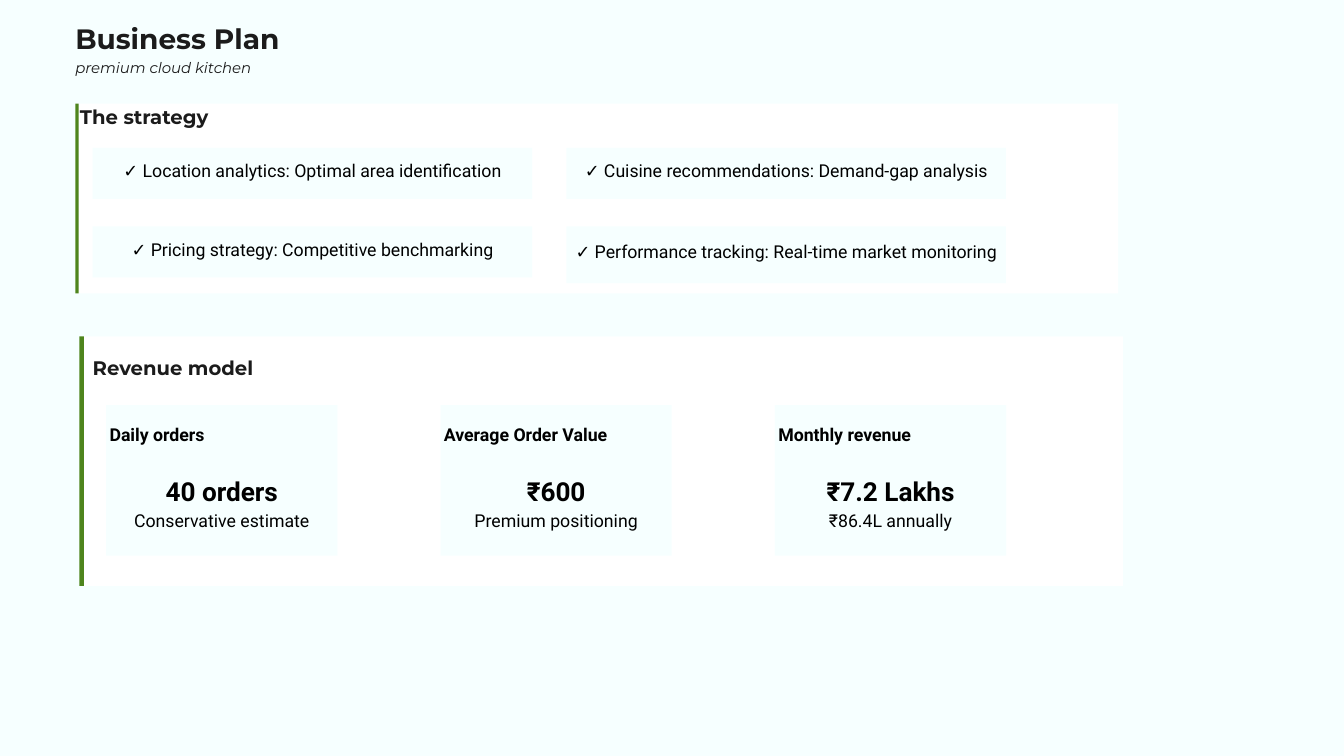
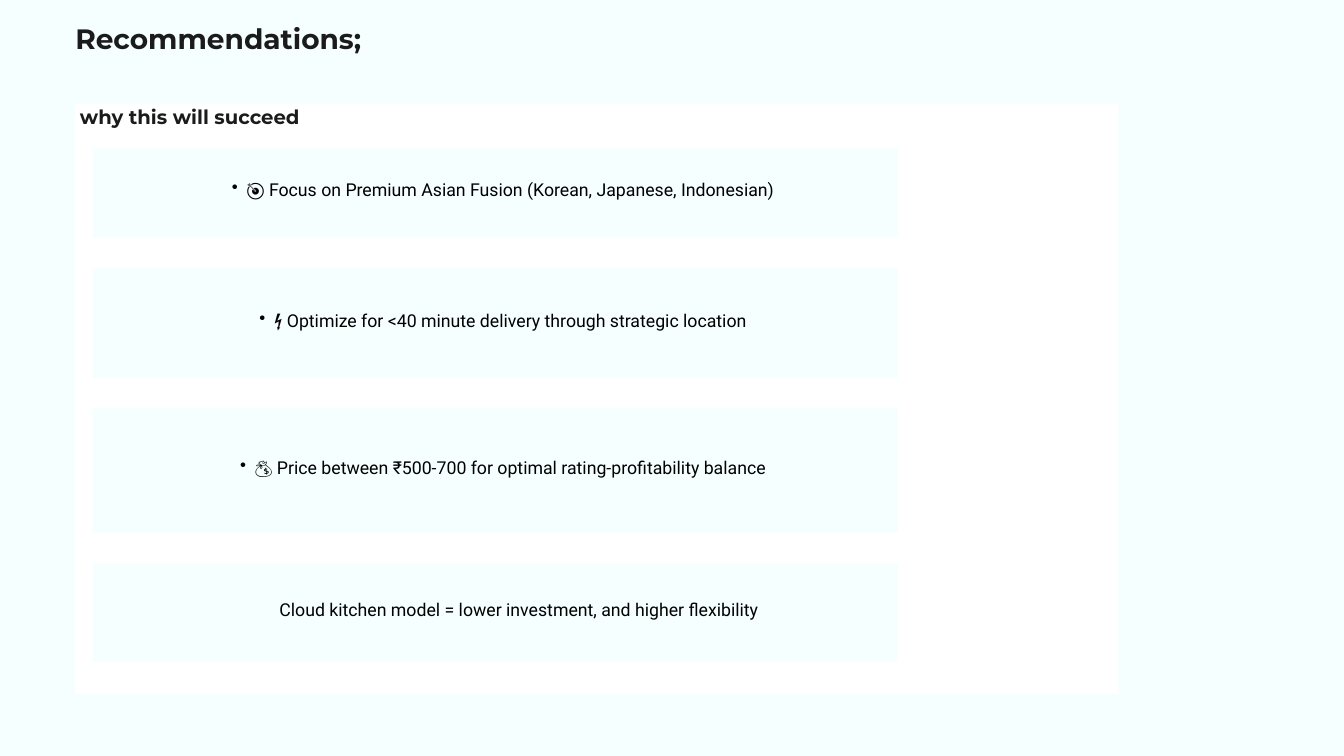
from pptx import Presentation, util as u
from pptx.dml.color import RGBColor
from pptx.enum import shapes, text
from lxml import etree

COLORS = {"mint": "F6FFFF", "white": "FFFFFF", "green": "4E851D", "ink": "1B1B1B", "black": "000000"}
LEFT, CENTER = text.PP_ALIGN.LEFT, text.PP_ALIGN.CENTER
STYLES = {
    "title": ("Montserrat", 30, True, False, "ink", LEFT, 42),
    "subtitle": ("Montserrat", 16, False, True, "ink", LEFT, 22.4),
    "heading": ("Montserrat", 21, True, False, "ink", LEFT, 29.4),
    "label": ("Roboto", 19, True, False, "black", LEFT, 26.6),
    "figure": ("Roboto", 28, True, False, "black", CENTER, 39.2),
    "body": ("Roboto", 19, False, False, "black", CENTER, 26.6),
}

deck = Presentation()
deck.slide_width, deck.slide_height = u.Inches(20), u.Inches(11.25)
COLUMN, ROW = deck.slide_width / 100, deck.slide_height / 100
PANEL_LEFT, PANEL_TOP, PANEL_WIDTH = 5.6, 13.7, 77.6
CARD_LEFT, CARD_TOP = 6.9, 19.55
HEADING_SIZE = 22.65, 3.5


def place(slide, left, top, width, height, fill=None):
    box = [int(left * COLUMN), int(top * ROW), int(width * COLUMN), int(height * ROW)]
    if fill is None:
        return slide.shapes.add_textbox(*box)
    block = slide.shapes.add_shape(shapes.MSO_SHAPE.RECTANGLE, *box)
    block.shadow.inherit = False
    block.fill.solid()
    block.fill.fore_color.rgb = RGBColor.from_string(COLORS[fill])
    block.line.fill.background()
    return block


def write(holder, *lines, card=False, bullet=False):
    frame = holder.text_frame
    frame.word_wrap = True
    frame.auto_size = text.MSO_AUTO_SIZE.NONE
    frame.vertical_anchor = text.MSO_ANCHOR.MIDDLE if card else text.MSO_ANCHOR.TOP
    frame.margin_left = frame.margin_right = frame.margin_top = u.Inches(0.05 if card else 0)
    frame.margin_bottom = u.Inches(0.19 if card else 0)
    for index, (style, words) in enumerate(lines):
        paragraph = frame.add_paragraph() if index else frame.paragraphs[0]
        paragraph.text = words
        if bullet:
            paragraph.level = 1
            properties = paragraph._p.get_or_add_pPr()
            properties.set("marL", str(u.Inches(0.45)))
            properties.set("indent", str(u.Inches(-0.22)))
            mark = etree.SubElement(properties, "{http://schemas.openxmlformats.org/drawingml/2006/main}buChar")
            mark.set("char", "•")
        name, size, bold, italic, color, align, spacing = STYLES[style]
        paragraph.alignment = align
        paragraph.line_spacing = u.Pt(spacing)
        if style == "figure":
            paragraph.space_before = u.Pt(26.6)
        font = paragraph.font
        font.name, font.size, font.bold, font.italic = name, u.Pt(size), bold, italic
        font.color.rgb = RGBColor.from_string(COLORS[color])


pages = []
for heading in ["Business Plan", "Recommendations;"]:
    page = deck.slides.add_slide(deck.slide_layouts[5])
    page.background.fill.solid()
    page.background.fill.fore_color.rgb = RGBColor.from_string(COLORS["mint"])
    title = page.shapes.title
    title.left, title.top = int(PANEL_LEFT * COLUMN), int(2.13 * ROW)
    title.width, title.height = int(50.45 * COLUMN), int(5 * ROW)
    write(title, ("title", heading))
    pages.append(page)
plan, advice = pages

write(place(plan, PANEL_LEFT, 7.3, 50.45, 2.8), ("subtitle", "premium cloud kitchen"))
place(plan, PANEL_LEFT, PANEL_TOP, PANEL_WIDTH, 25.1, "white")
place(plan, PANEL_LEFT, PANEL_TOP, 0.25, 25.1, "green")
write(place(plan, 5.95, 13.33, *HEADING_SIZE), ("heading", "The strategy"))

strategies = [
    ("✓ Location analytics: Optimal area identification", 6.75),
    ("✓ Cuisine recommendations: Demand-gap analysis", 6.75),
    ("✓ Pricing strategy: Competitive benchmarking", 6.75),
    ("✓ Performance tracking: Real-time market monitoring", 7.5),
]
for index, (strategy, height) in enumerate(strategies):
    row, column = divmod(index, 2)
    card = place(plan, CARD_LEFT + column * 35.25, CARD_TOP + row * 10.4, 32.7, height, "mint")
    write(card, ("body", strategy), card=True)

place(plan, 5.95, 44.5, PANEL_WIDTH, 33, "white")
place(plan, 5.9, 44.5, 0.35, 33, "green")
write(place(plan, CARD_LEFT, 46.6, *HEADING_SIZE), ("heading", "Revenue model"))

revenues = [
    ("Daily orders", "40 orders", "Conservative estimate"),
    ("Average Order Value", "₹600", "Premium positioning"),
    ("Monthly revenue", "₹7.2 Lakhs", "₹86.4L annually"),
]
for column, revenue in enumerate(revenues):
    card = place(plan, 7.9 + column * 24.88, 53.6, 17.2, 19.9, "mint")
    write(card, *zip(["label", "figure", "body"], revenue), card=True)

place(advice, PANEL_LEFT, PANEL_TOP, PANEL_WIDTH, 78.1, "white")
reasons = [
    ("🎯 Focus on Premium Asian Fusion (Korean, Japanese, Indonesian)", 11.9, True),
    ("⚡ Optimize for <40 minute delivery through strategic location", 14.55, True),
    ("💰 Price between ₹500-700 for optimal rating-profitability balance", 16.45, True),
    ("Cloud kitchen model = lower investment, and higher flexibility", 13.1, False),
]
top = CARD_TOP
for reason, height, bullet in reasons:
    card = place(advice, CARD_LEFT, top, 59.9, height, "mint")
    write(card, ("body", reason), card=True, bullet=bullet)
    if not bullet:
        card.text_frame.margin_left = u.Inches(0.75)
    top += height + 4
write(place(advice, 5.95, 13.33, *HEADING_SIZE), ("heading", "why this will succeed"))

deck.save("out.pptx")
